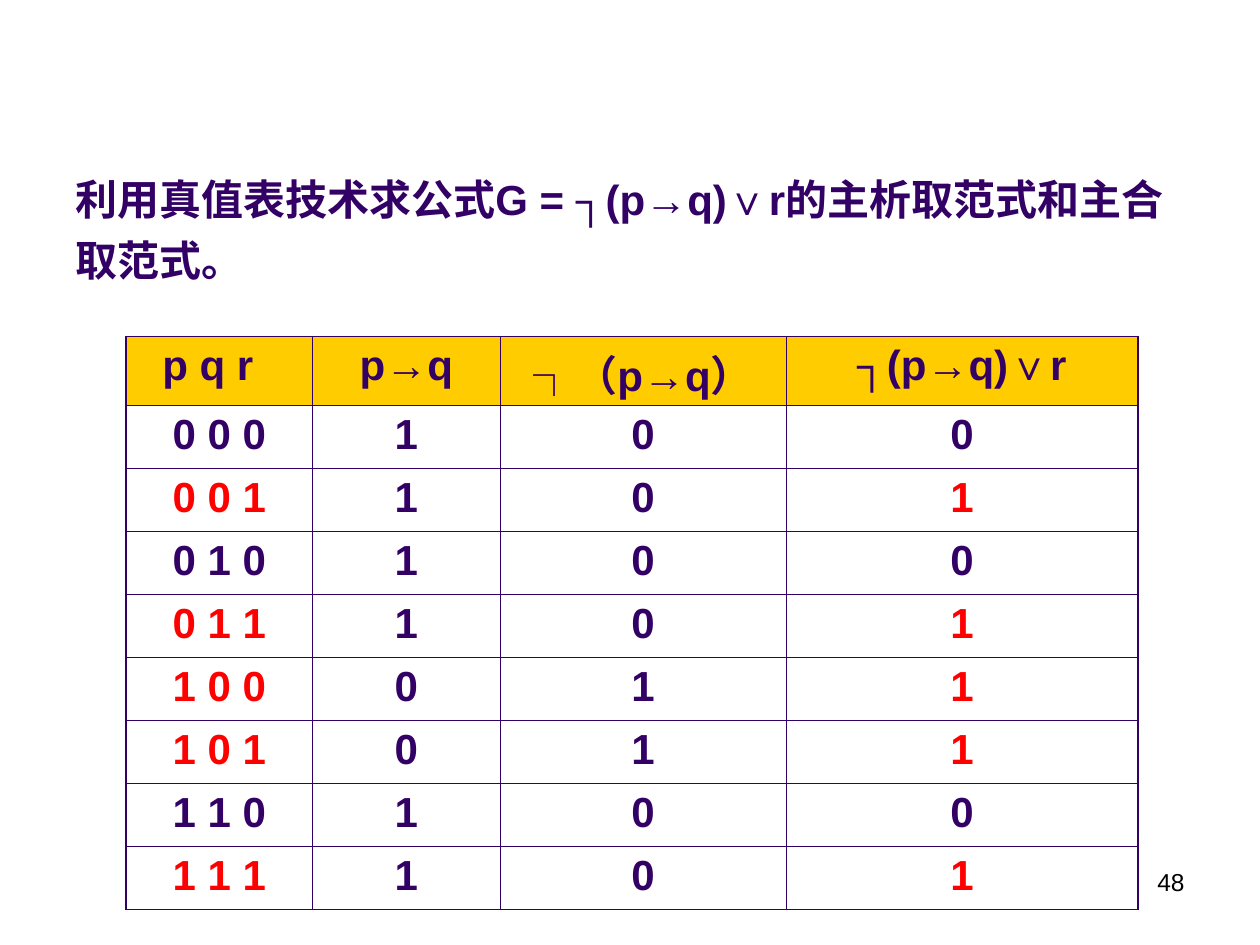
import itertools

import pptx
import pptx.dml.color
import pptx.enum.text
import pptx.oxml.ns
import pptx.util
from lxml import etree

WIDE, HIGH = 10, 7.5
INK, RED, GOLD, WHITE, BLACK = "330066", "FF0000", "FFCC00", "FFFFFF", "000000"
THIN, THICK = 0.45, 1.08
ALIGN = pptx.enum.text.PP_ALIGN
inch = pptx.util.Inches


def tint(code):
    return pptx.dml.color.RGBColor.from_string(code)


def write(para, text, size=24, color=INK, bold=True, align=ALIGN.LEFT):
    para.alignment = align
    run = para.add_run()
    run.text = text
    font = run.font
    font.name, font.size, font.bold = "Arial", pptx.util.Pt(size), bold
    font.color.rgb = tint(color)


def place(slide, box):
    frame = slide.shapes.add_textbox(*map(inch, box)).text_frame
    frame.word_wrap = True
    return frame.paragraphs[0]


def edge(cell, sides):
    """Draw the cell borders; line elements go ahead of the fill."""
    props = cell._tc.get_or_add_tcPr()
    for spot, (side, width) in enumerate(sides.items()):
        line = etree.Element(pptx.oxml.ns.qn("a:ln" + side), w=str(int(pptx.util.Pt(width))))
        fill = etree.SubElement(line, pptx.oxml.ns.qn("a:solidFill"))
        etree.SubElement(fill, pptx.oxml.ns.qn("a:srgbClr"), val=INK)
        props.insert(spot, line)


def rows():
    """Work out the truth table, with the colour of each row's key cells."""
    for p, q, r in itertools.product((0, 1), repeat=3):
        cond = int(not p or q)
        goal = int(not cond or r)
        yield [f"{p} {q} {r}", cond, 1 - cond, goal], RED if goal else INK


# Task statement
def task(slide, box):
    para = place(slide, box)
    para.line_spacing = 1.2
    write(para, "利用真值表技术求公式G = ┐(p→q)∨r的主析取范式和主合取范式。")


# Truth table
def truth(slide, box):
    left, top, width, height = box
    heads = ["p q r", "p→q", "┐（p→q）", "┐(p→q)∨r"]
    data = [(heads, INK), *rows()]
    last, end = len(data) - 1, len(heads) - 1
    table = slide.shapes.add_table(last + 1, end + 1, *map(inch, box)).table

    shares = (1.48, 1.49, 2.27, 2.79)
    for col, share in zip(table.columns, shares):
        col.width = inch(width * share / sum(shares))
    head = 0.12 * height
    for i, row in enumerate(table.rows):
        row.height = inch((height - head) / last if i else head)

    for i, (texts, color) in enumerate(data):
        for j, text in enumerate(texts):
            cell = table.cell(i, j)
            cell.fill.solid()
            cell.fill.fore_color.rgb = tint(WHITE if i else GOLD)
            edge(cell, {
                "L": THIN if j else THICK,
                "R": THICK if j == end else THIN,
                "T": THIN if i else THICK,
                "B": THICK if i == last else THIN,
            })
            write(cell.text_frame.paragraphs[0], str(text),
                  color=color if j in (0, end) else INK, align=ALIGN.CENTER)
    # The variable heading sits a little left of centre
    table.cell(0, 0).margin_right = inch(0.28)


# Page number
def page(slide, box):
    write(place(slide, box), "48", 14, BLACK, False, ALIGN.RIGHT)


def main():
    deck = pptx.Presentation()
    deck.slide_width, deck.slide_height = inch(WIDE), inch(HIGH)
    slide = deck.slides.add_slide(deck.slide_layouts[6])
    page(slide, (7.17, 6.83, 2.33, 0.52))
    task(slide, (0.05 * WIDE, HIGH / 6, 8.98, 1.18))
    truth(slide, (0.1 * WIDE, 2.67, 8.03, 4.55))
    deck.save("out.pptx")


if __name__ == "__main__":
    main()
